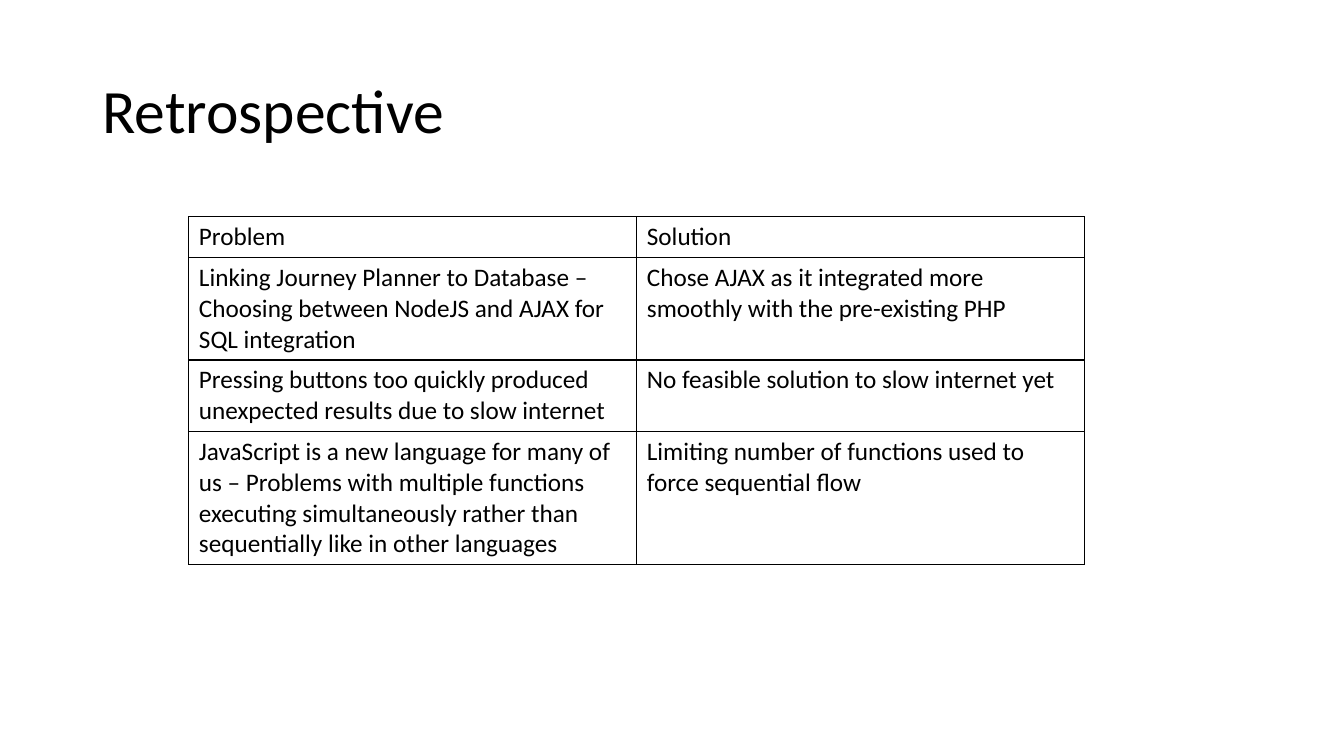
from lxml.etree import SubElement
from pptx import Presentation
from pptx.dml.color import RGBColor
from pptx.enum.text import MSO_ANCHOR, PP_ALIGN
from pptx.oxml.ns import qn
from pptx.util import Cm, Pt

FONT = "Calibri"
BLACK = "000000"
ROWS = [
    ("Problem", "Solution"),
    ("Linking Journey Planner to Database – Choosing between NodeJS and AJAX for SQL integration",
     "Chose AJAX as it integrated more smoothly with the pre-existing PHP"),
    ("Pressing buttons too quickly produced unexpected results due to slow internet",
     "No feasible solution to slow internet yet"),
    ("JavaScript is a new language for many of us – Problems with multiple functions "
     "executing simultaneously rather than sequentially like in other languages",
     "Limiting number of functions used to force sequential flow"),
]


def color(value):
    return RGBColor.from_string(value)


def format_paragraph(p, size):
    p.alignment = PP_ALIGN.LEFT
    p.font.name = FONT
    p.font.size = Pt(size)
    p.font.bold = False
    p.font.color.rgb = color(BLACK)


def set_borders(cell, value, width):
    """Draw all four sides of a cell; the lines must precede its fill."""
    tcPr = cell._tc.get_or_add_tcPr()
    for i, side in enumerate(("lnL", "lnR", "lnT", "lnB")):
        ln = SubElement(tcPr, qn(f"a:{side}"), w=str(Pt(width)))
        fill = SubElement(ln, qn("a:solidFill"))
        SubElement(fill, qn("a:srgbClr"), val=value)
        tcPr.insert(i, ln)


def add_title(slide, text, left, top, width, height):
    title = slide.shapes.title
    title.left, title.top, title.width, title.height = left, top, width, height
    tf = title.text_frame
    tf.text = text
    tf.word_wrap = True
    tf.vertical_anchor = MSO_ANCHOR.MIDDLE
    p = tf.paragraphs[0]
    p.line_spacing = 0.9
    format_paragraph(p, 44)


def add_retrospective_table(slide, rows, left, top, width, height):
    frame = slide.shapes.add_table(len(rows), len(rows[0]), left, top, width, height)
    table = frame.table
    table.first_row = False
    table.horz_banding = False
    for row, texts in zip(table.rows, rows):
        row.height = Cm(1.03)  # minimum; rows grow with their text
        for cell, text in zip(row.cells, texts):
            cell.text = text
            cell.fill.background()
            format_paragraph(cell.text_frame.paragraphs[0], 18)
            set_borders(cell, BLACK, 1)
    frame.height = height


def main():
    prs = Presentation()
    prs.slide_width, prs.slide_height = Cm(33.87), Cm(19.05)
    slide = prs.slides.add_slide(prs.slide_layouts[5])
    add_title(slide, "Retrospective", Cm(2.33), Cm(1.01), Cm(29.21), Cm(3.68))
    add_retrospective_table(slide, ROWS, Cm(4.76), Cm(5.46), Cm(22.58), Cm(8.66))
    prs.save("out.pptx")


if __name__ == "__main__":
    main()
